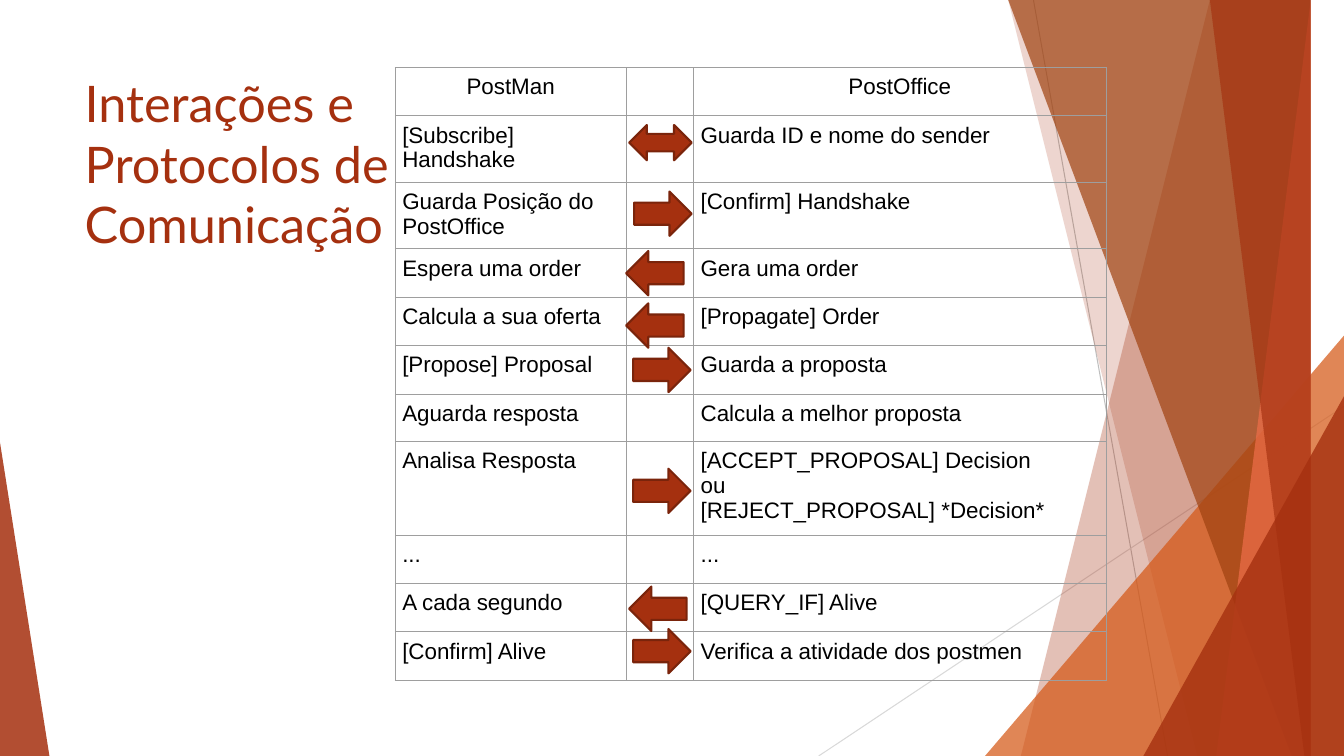
from lxml import etree
from pptx import Presentation
from pptx.dml.color import RGBColor
from pptx.enum import shapes, text
from pptx.oxml import ns
from pptx.util import Inches, Pt

RUST = RGBColor(0xA5, 0x30, 0x0F)
DARK_RUST = RGBColor(0x7A, 0x24, 0x0B)
ORANGE = RGBColor(0xD5, 0x58, 0x16)
BROWN = RGBColor(0xA0, 0x42, 0x10)
CORAL = RGBColor(0xEE, 0x6E, 0x4A)
SILVER = RGBColor(0xBF, 0xBF, 0xBF)
PALE_GRAY = RGBColor(0xD9, 0xD9, 0xD9)
BLACK = RGBColor(0, 0, 0)
BORDER = "9E9E9E"

WIDTH, HEIGHT = 13.33, 7.5
TITLE = "Interações e Protocolos de Comunicação"
MESSAGES = [
    ("PostMan", "PostOffice", 0.48),
    ("[Subscribe] Handshake", "Guarda ID e nome do sender", 0.66),
    ("Guarda Posição do PostOffice", "[Confirm] Handshake", 0.66),
    ("Espera uma order", "Gera uma order", 0.48),
    ("Calcula a sua oferta", "[Propagate] Order", 0.48),
    ("[Propose] Proposal", "Guarda a proposta", 0.48),
    ("Aguarda resposta", "Calcula a melhor proposta", 0.47),
    ("Analisa Resposta", "[ACCEPT_PROPOSAL] Decision\nou\n[REJECT_PROPOSAL] *Decision*", 0.93),
    ("...", "...", 0.48),
    ("A cada segundo", "[QUERY_IF] Alive", 0.48),
    ("[Confirm] Alive", "Verifica a atividade dos postmen", 0.48),
]
COLUMNS = (2.29, 0.67, 4.09)
BOTH, RIGHT = shapes.MSO_SHAPE.LEFT_RIGHT_ARROW, shapes.MSO_SHAPE.RIGHT_ARROW
ARROWS = [
    (BOTH, 6.24, 1.24, 0.62, 0.35, 0),
    (RIGHT, 6.29, 1.9, 0.57, 0.44, 0),
    (RIGHT, 6.28, 3.45, 0.57, 0.44, 0),
    (RIGHT, 6.28, 4.65, 0.57, 0.44, 0),
    (RIGHT, 6.28, 6.24, 0.57, 0.44, 0),
    (RIGHT, 6.21, 2.49, 0.57, 0.44, 180),
    (RIGHT, 6.21, 3.01, 0.57, 0.44, 180),
    (RIGHT, 6.24, 5.82, 0.57, 0.44, 180),
]
RAYS = [(10.25, 0, 11.58, HEIGHT, SILVER), (WIDTH, 4.03, 8.12, HEIGHT, PALE_GRAY)]
BANDS_BEHIND = [(12.28, 10.04, RUST, 30), (10.5, 11.83, RUST, 20)]
BANDS_FRONT = [(10.21, 12.91, BROWN, 70), (13.03, 11.92, CORAL, 70), (11.96, 13.18, RUST, 65)]
WEDGE_BEHIND = (9.77, 3.33, 3.56, 1, ORANGE, 72)
WEDGES_FRONT = [(11.34, 3.93, 1.99, 1, RUST, 80), (0, 4.39, 0.49, 0, RUST, 85)]


def paint(shape, color, opacity=100):
    shape.shadow.inherit = False
    shape.fill.solid()
    shape.fill.fore_color.rgb = color
    shape.line.fill.background()
    if opacity < 100:
        color_element = shape._element.spPr.find(ns.qn("a:solidFill"))[0]
        etree.SubElement(color_element, ns.qn("a:alpha"), val=str(opacity * 1000))


def add_ray(slide, x1, y1, x2, y2, color):
    ray = slide.shapes.add_connector(
        shapes.MSO_CONNECTOR.STRAIGHT, Inches(x1), Inches(y1), Inches(x2), Inches(y2))
    ray.line.color.rgb = color
    ray.line.width = Pt(0.75)
    etree.SubElement(ray._element.spPr, ns.qn("a:effectLst"))


def add_band(slide, top_x, bottom_x, color, opacity):
    builder = slide.shapes.build_freeform(top_x, 0, scale=Inches(1))
    builder.add_line_segments([(WIDTH, 0), (WIDTH, HEIGHT), (bottom_x, HEIGHT)], close=True)
    paint(builder.convert_to_shape(), color, opacity)


def add_wedge(slide, left, top, width, apex, color, opacity):
    wedge = slide.shapes.add_shape(
        shapes.MSO_SHAPE.ISOSCELES_TRIANGLE,
        Inches(left), Inches(top), Inches(width), Inches(HEIGHT - top))
    wedge.adjustments[0] = apex
    paint(wedge, color, opacity)


def add_arrow(slide, kind, left, top, width, height, rotation):
    arrow = slide.shapes.add_shape(kind, Inches(left), Inches(top), Inches(width), Inches(height))
    arrow.rotation = rotation
    paint(arrow, RUST)
    arrow.line.color.rgb = DARK_RUST
    arrow.line.width = Pt(1.5)


def format_cell(cell, content, alignment):
    cell.text = content
    cell.margin_left = cell.margin_right = cell.margin_top = cell.margin_bottom = Inches(0.07)
    for paragraph in cell.text_frame.paragraphs:
        paragraph.alignment = alignment
        paragraph.font.name = "Arial"
        paragraph.font.size = Pt(16)
        paragraph.font.color.rgb = BLACK
    properties = cell._tc.get_or_add_tcPr()
    for side in ("lnL", "lnR", "lnT", "lnB"):
        border = etree.SubElement(properties, ns.qn(f"a:{side}"), w=str(Pt(0.75)))
        fill = etree.SubElement(border, ns.qn("a:solidFill"))
        etree.SubElement(fill, ns.qn("a:srgbClr"), val=BORDER)
    cell.fill.background()


def add_messages(slide):
    table = slide.shapes.add_table(
        len(MESSAGES), len(COLUMNS), Inches(3.92), Inches(0.67),
        Inches(sum(COLUMNS)), Inches(sum(height for *_, height in MESSAGES))).table
    table.first_row = table.horz_banding = False
    for column, width in zip(table.columns, COLUMNS):
        column.width = Inches(width)
    for index, (postman, office, height) in enumerate(MESSAGES):
        table.rows[index].height = Inches(height)
        alignment = text.PP_ALIGN.LEFT if index else text.PP_ALIGN.CENTER
        for cell, content in zip(table.rows[index].cells, (postman, "", office)):
            format_cell(cell, content, alignment)


def add_title(slide):
    title = slide.shapes.title
    title.left, title.top, title.width, title.height = map(Inches, (0.74, 0.67, 3.53, 2.66))
    frame = title.text_frame
    frame.text = TITLE
    frame.word_wrap = True
    frame.auto_size = text.MSO_AUTO_SIZE.NONE
    frame.vertical_anchor = text.MSO_ANCHOR.TOP
    paragraph = frame.paragraphs[0]
    paragraph.alignment = text.PP_ALIGN.LEFT
    paragraph.font.name = "Lato"
    paragraph.font.size = Pt(36)
    paragraph.font.color.rgb = RUST


def main():
    presentation = Presentation()
    presentation.slide_width, presentation.slide_height = Inches(WIDTH), Inches(HEIGHT)
    slide = presentation.slides.add_slide(presentation.slide_layouts[5])
    for ray in RAYS:
        add_ray(slide, *ray)
    for band in BANDS_BEHIND:
        add_band(slide, *band)
    add_wedge(slide, *WEDGE_BEHIND)
    for band in BANDS_FRONT:
        add_band(slide, *band)
    for wedge in WEDGES_FRONT:
        add_wedge(slide, *wedge)
    add_title(slide)
    add_messages(slide)
    for arrow in ARROWS:
        add_arrow(slide, *arrow)
    presentation.save("out.pptx")


if __name__ == "__main__":
    main()
